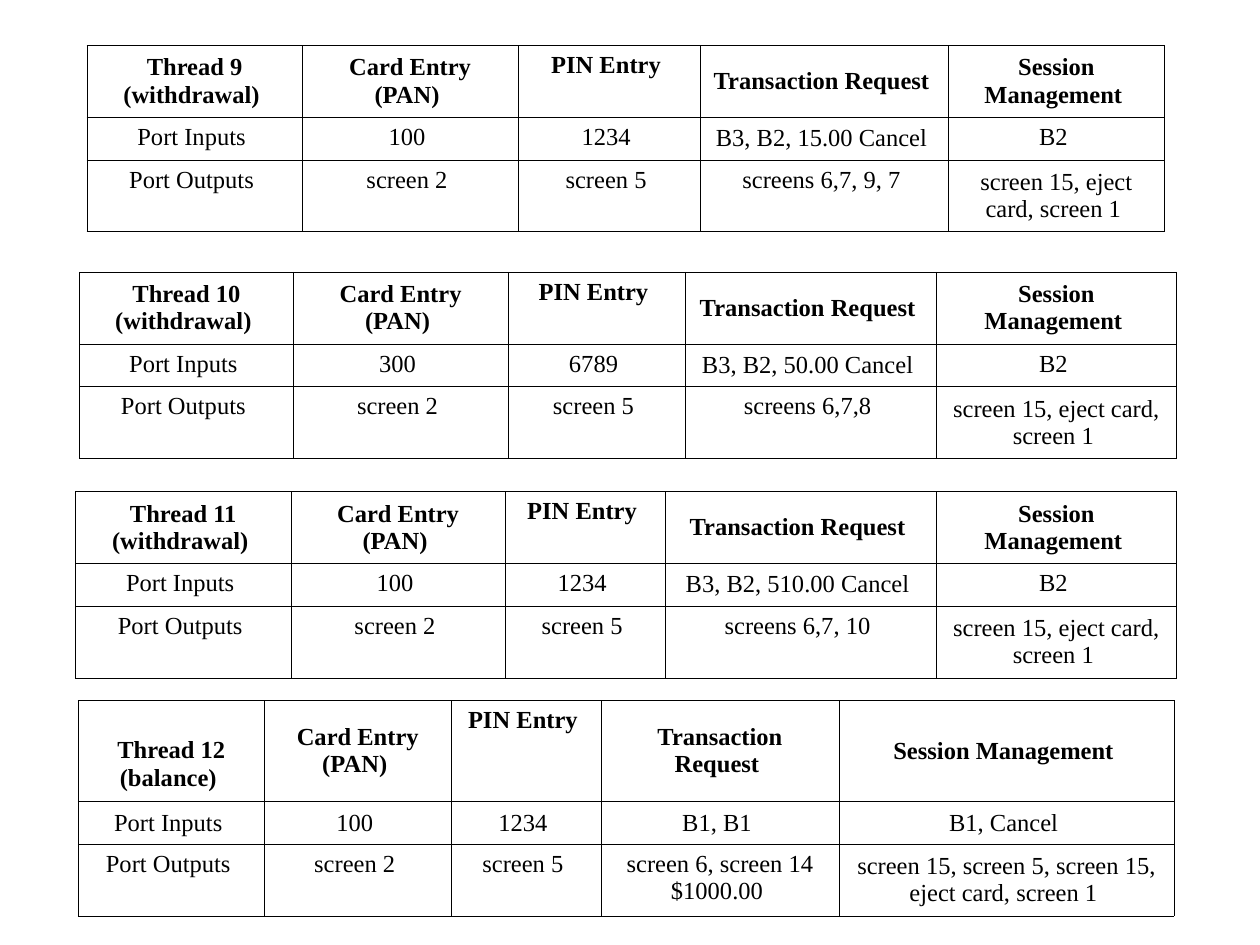
import pptx
import pptx.util
import pptx.dml.color
import pptx.enum.text
import pptx.oxml.ns
from lxml import etree
from pptx.util import Inches

FONT, SIZE, BLACK = "Times New Roman", 14, "000000"
BORDER_PT = 0.34
HEADINGS = ["Card Entry (PAN)", "PIN Entry", "Transaction Request", "Session Management"]
ROW_LABELS = ["Port Inputs", "Port Outputs"]
ENDING = "screen 15, eject card, screen 1"

# Columns whose text is vertically centred, for each row
MIDDLE = [{0, 1, 3, 4}, {3}, {4}]
MIDDLE_BALANCE = [{0, 1, 3, 4}, {0, 1, 2, 3, 4}, {4}]

# Test threads from top to bottom
THREADS = [
    dict(name="Thread 9 (withdrawal)", at=(0.69, 0.36),
         cols=[1.71, 1.71, 1.45, 1.97, 1.71], head_h=0.57, head_top=0.05, middle=MIDDLE,
         inputs=["100", "1234", "B3, B2, 15.00 Cancel", "B2"],
         outputs=["screen 2", "screen 5", "screens 6,7, 9, 7", ENDING]),
    dict(name="Thread 10 (withdrawal)", at=(0.63, 2.16),
         cols=[1.7, 1.7, 1.41, 1.99, 1.91], head_h=0.57, head_top=0.05, middle=MIDDLE,
         inputs=["300", "6789", "B3, B2, 50.00 Cancel", "B2"],
         outputs=["screen 2", "screen 5", "screens 6,7,8", ENDING]),
    dict(name="Thread 11 (withdrawal)", at=(0.6, 3.9),
         cols=[1.71, 1.7, 1.27, 2.15, 1.91], head_h=0.57, head_top=0.05, middle=MIDDLE,
         inputs=["100", "1234", "B3, B2, 510.00 Cancel", "B2"],
         outputs=["screen 2", "screen 5", "screens 6,7, 10", ENDING]),
    dict(name="Thread 12 (balance)", at=(0.62, 5.56),
         cols=[1.48, 1.48, 1.19, 1.89, 2.66], head_h=0.8, head_top=0.26,
         middle=MIDDLE_BALANCE,
         inputs=["100", "1234", "B1, B1", "B1, Cancel"],
         outputs=["screen 2", "screen 5", "screen 6, screen 14 $1000.00",
                  "screen 15, screen 5, screen 15, eject card, screen 1"]),
]


def rgb(value):
    return pptx.dml.color.RGBColor.from_string(value)


def add_borders(cell):
    tc_pr = cell._tc.get_or_add_tcPr()
    qn = pptx.oxml.ns.qn
    for side in ("lnL", "lnR", "lnT", "lnB"):
        ln = etree.SubElement(tc_pr, qn(f"a:{side}"), w=str(pptx.util.Pt(BORDER_PT)))
        fill = etree.SubElement(ln, qn("a:solidFill"))
        etree.SubElement(fill, qn("a:srgbClr"), val=BLACK)


def fill_cell(cell, text, bold, middle):
    add_borders(cell)
    cell.fill.background()
    anchor = pptx.enum.text.MSO_ANCHOR
    cell.vertical_anchor = anchor.MIDDLE if middle else anchor.TOP
    cell.margin_left = cell.margin_right = Inches(0.1)
    cell.margin_top = cell.margin_bottom = Inches(0.05)
    p = cell.text_frame.paragraphs[0]
    p.alignment = pptx.enum.text.PP_ALIGN.CENTER
    r = p.add_run()
    r.text = text + " "
    r.font.name = FONT
    r.font.size = pptx.util.Pt(SIZE)
    r.font.bold = bold
    r.font.color.rgb = rgb(BLACK)


def add_thread(s, thread):
    rows = [[thread["name"]] + HEADINGS,
            [ROW_LABELS[0]] + thread["inputs"],
            [ROW_LABELS[1]] + thread["outputs"]]
    heights = [thread["head_h"], 0.34, 0.57]
    left, top = thread["at"]
    table = s.shapes.add_table(
        len(rows), len(thread["cols"]), Inches(left), Inches(top),
        Inches(sum(thread["cols"])), Inches(sum(heights))).table
    table.first_row = table.horz_banding = False
    for column, width in zip(table.columns, thread["cols"]):
        column.width = Inches(width)
    for i, texts in enumerate(rows):
        table.rows[i].height = Inches(heights[i])
        for j, text in enumerate(texts):
            fill_cell(table.cell(i, j), text, i == 0, j in thread["middle"][i])
    # The thread name may sit lower than the other headings
    table.cell(0, 0).margin_top = Inches(thread["head_top"])


def main():
    prs = pptx.Presentation()
    prs.slide_width, prs.slide_height = Inches(10), Inches(7.5)
    s = prs.slides.add_slide(prs.slide_layouts[6])
    for thread in THREADS:
        add_thread(s, thread)
    prs.save("out.pptx")


if __name__ == "__main__":
    main()
